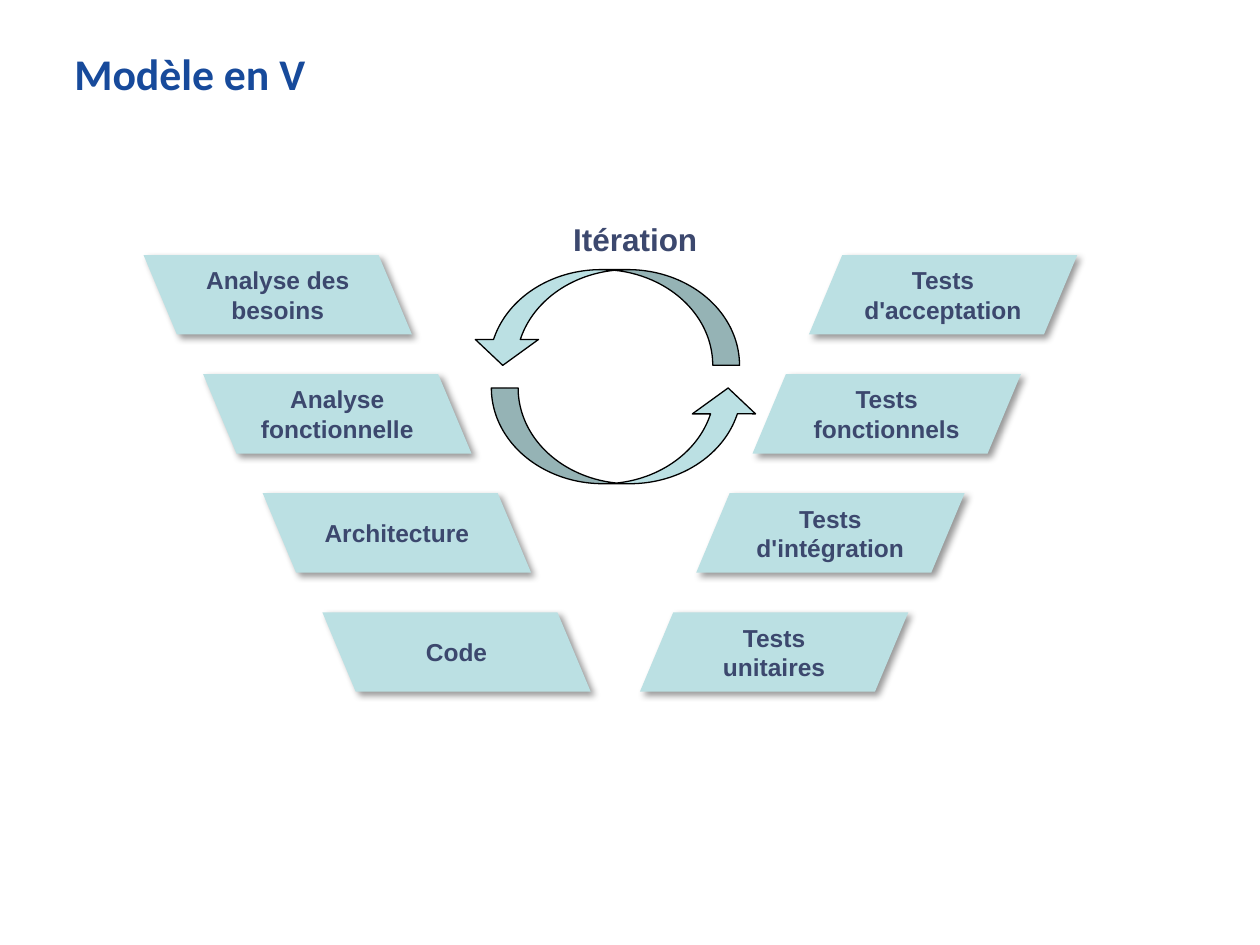
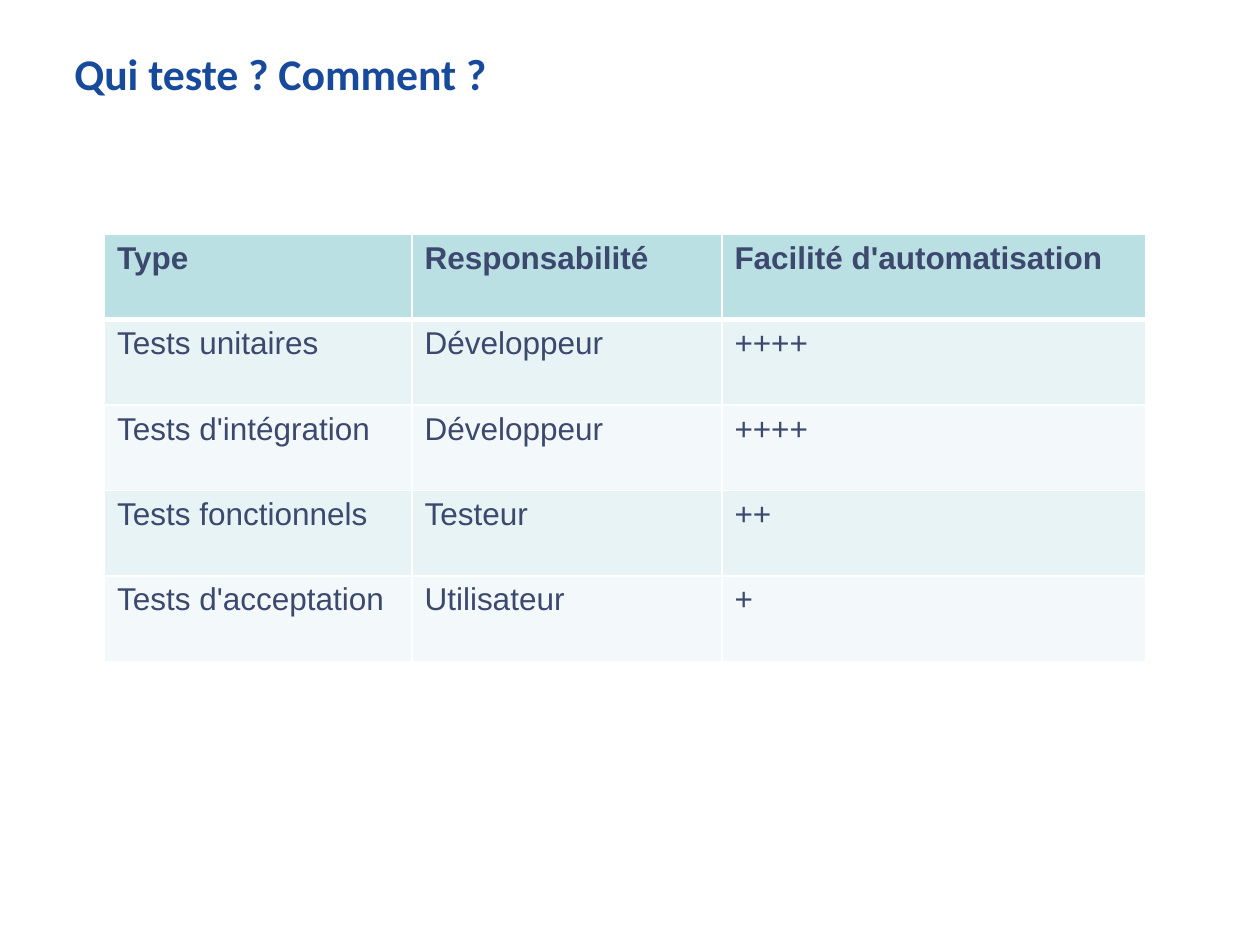
from lxml import etree
from pptx import Presentation
from pptx import util as u
from pptx.dml import color
from pptx.enum import shapes, text
from pptx.oxml import ns

# Shared style
NAVY, SLATE, TEAL = "174A9B", "3C486E", "BBE0E3"
BANDS = ("E7F3F4", "F3F9FA")
BLACK, WHITE = "000000", "FFFFFF"
COLUMNS, ROWS = 100, 75


def rgb(hex_code):
    return color.RGBColor.from_string(hex_code)


def write(frame, words, size=18, font="Arial", ink=SLATE, bold=False,
          align=text.PP_ALIGN.LEFT, anchor=text.MSO_ANCHOR.TOP):
    frame.word_wrap = True
    frame.vertical_anchor = anchor
    paragraph = frame.paragraphs[0]
    paragraph.alignment = align
    run = paragraph.add_run()
    run.text = words
    run.font.name, run.font.size, run.font.bold = font, u.Pt(size), bold
    run.font.color.rgb = rgb(ink)


def add_node(parent, tag, **attributes):
    node = etree.SubElement(parent, ns.qn(tag))
    for key, value in attributes.items():
        node.set(key, str(value))
    return node


def cast_shadow(shape):
    """Soft shadow towards the lower right, 40 % opaque."""
    shape.shadow.inherit = False
    effects = shape._element.spPr.find(ns.qn("a:effectLst"))
    outer = add_node(effects, "a:outerShdw", blurRad=u.Pt(4), dist=u.Pt(3),
                     dir=45 * 60000, algn="tl", rotWithShape=0)
    add_node(add_node(outer, "a:srgbClr", val=BLACK), "a:alpha", val=40000)


def set_borders(cell, **widths):
    """Draw white cell borders; widths are points for L, R, T and B."""
    properties = cell._tc.get_or_add_tcPr()
    for position, side in enumerate("LRTB"):
        line = add_node(properties, f"a:ln{side}", w=u.Pt(widths.get(side, 1)))
        add_node(add_node(line, "a:solidFill"), "a:srgbClr", val=WHITE)
        properties.insert(position, line)


class Deck:
    def __init__(self):
        self.file = Presentation()
        self.file.slide_width, self.file.slide_height = u.Inches(10), u.Inches(7.5)
        self.column = self.file.slide_width / COLUMNS
        self.row = self.file.slide_height / ROWS
        self.slide = None

    def place(self, left, top, width, height):
        """Turn columns and rows into slide lengths."""
        return [round(n) for n in (left * self.column, top * self.row,
                                   width * self.column, height * self.row)]

    def new_slide(self, heading):
        self.slide = self.file.slides.add_slide(self.file.slide_layouts[5])
        title = self.slide.shapes.title
        title.left, title.top, title.width, title.height = self.place(4.9, 3.2, 90.1, 6.4)
        write(title.text_frame, heading, size=25, font="Calibri", ink=NAVY, bold=True)
        title.text_frame.auto_size = text.MSO_AUTO_SIZE.NONE

    def label(self, words, *box, **style):
        frame = self.slide.shapes.add_textbox(*self.place(*box)).text_frame
        write(frame, words, **style)

    def preset(self, kind, *box, adjust=(), flip=None, line=None):
        shape = self.slide.shapes.add_shape(kind, *self.place(*box))
        for index, value in enumerate(adjust):
            shape.adjustments[index] = value
        if flip:
            shape._element.spPr.xfrm.set(flip, "1")
        shape.shadow.inherit = False
        shape.fill.solid()
        shape.fill.fore_color.rgb = rgb(TEAL)
        if line:
            shape.line.color.rgb, shape.line.width = rgb(line), u.Pt(0.75)
        else:
            shape.line.fill.background()
        return shape

    def phase(self, words, left, top, flip=None):
        shape = self.preset(shapes.MSO_SHAPE.PARALLELOGRAM, left, top, 21.3, 6.3,
                            adjust=[0.42], flip=flip)
        cast_shadow(shape)
        write(shape.text_frame, words, size=14, bold=True,
              align=text.PP_ALIGN.CENTER, anchor=text.MSO_ANCHOR.MIDDLE)

    def loop_arrow(self, left, top, flip):
        self.preset(shapes.MSO_SHAPE.CURVED_DOWN_ARROW, left, top, 21.3, 7.6,
                    adjust=(0.28, 0.66, 0.27), flip=flip, line=BLACK)

    def table(self, records, left, top, widths, row_height):
        box = self.place(left, top, sum(widths), row_height * len(records))
        grid = self.slide.shapes.add_table(len(records), len(widths), *box).table
        for column, width in zip(grid.columns, widths):
            column.width = round(width * self.column)
        for r, record in enumerate(records):
            header = r == 0
            for c, words in enumerate(record):
                cell = grid.cell(r, c)
                cell.fill.solid()
                cell.fill.fore_color.rgb = rgb(TEAL if header else BANDS[(r - 1) % 2])
                set_borders(cell, T=3 if r == 1 else 1, B=3 if header else 1)
                write(cell.text_frame, words, bold=header)


def v_model(deck):
    deck.new_slide("Modèle en V")
    # Two branches that meet at the bottom
    design = ["Analyse des besoins", "Analyse fonctionnelle", "Architecture", "Code"]
    tests = ["Tests d'acceptation", "Tests fonctionnels", "Tests d'intégration",
             "Tests unitaires"]
    for level, (step, check) in enumerate(zip(design, tests)):
        top = 20.25 + 9.45 * level
        deck.phase(step, 11.4 + 4.73 * level, top, flip="flipH")
        deck.phase(check, 64.2 - 4.47 * level, top)
    # Iteration loop
    deck.loop_arrow(37.4, 21.4, flip="flipH")
    deck.loop_arrow(39, 30.8, flip="flipV")
    deck.label("Itération", 44.5, 17, 16.5, 4, bold=True)


def who_tests(deck):
    deck.new_slide("Qui teste ? Comment ?")
    responsibilities = [
        ("Type", "Responsabilité", "Facilité d'automatisation"),
        ("Tests unitaires", "Développeur", "++++"),
        ("Tests d'intégration", "Développeur", "++++"),
        ("Tests fonctionnels", "Testeur", "++"),
        ("Tests d'acceptation", "Utilisateur", "+"),
    ]
    deck.table(responsibilities, 8.3, 18.6, (24.4, 24.6, 33.6), 6.78)


def main():
    deck = Deck()
    v_model(deck)
    who_tests(deck)
    deck.file.save("out.pptx")


if __name__ == "__main__":
    main()
